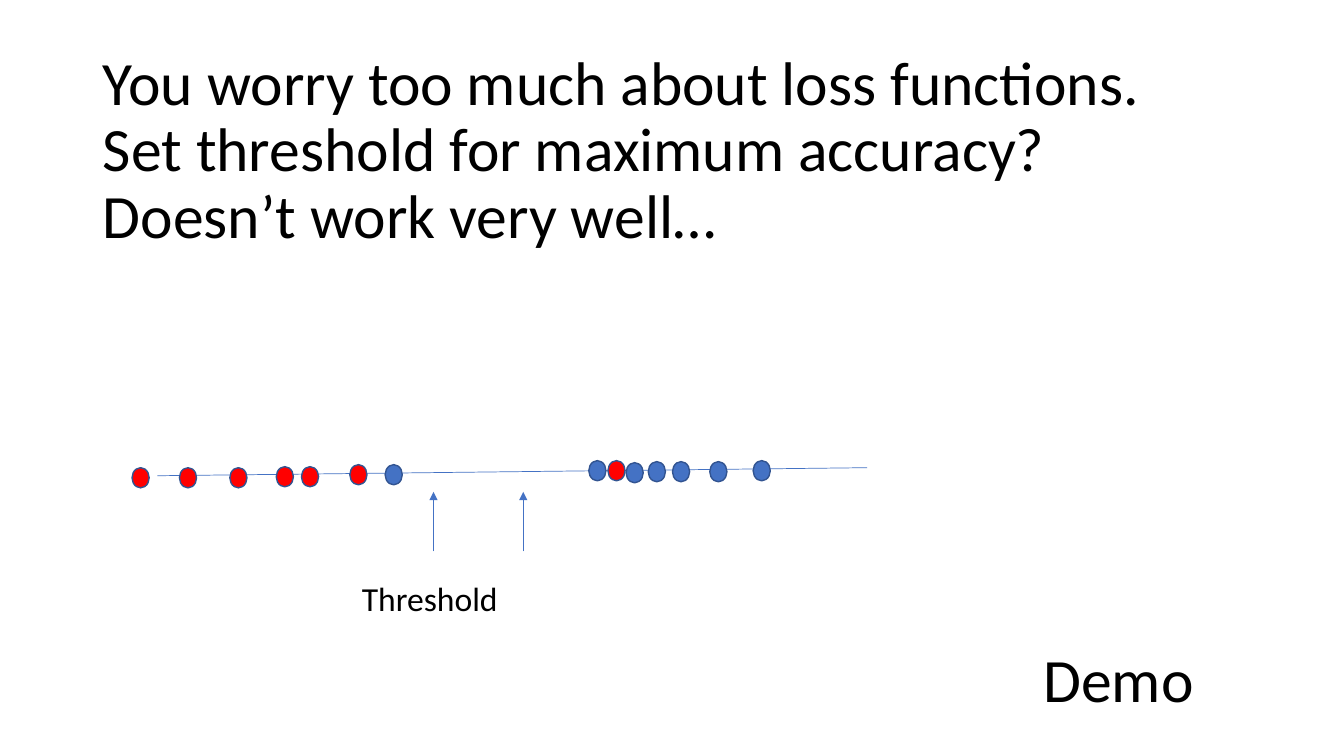
from lxml.etree import SubElement
from pptx import Presentation
from pptx.dml.color import RGBColor
from pptx.enum.shapes import MSO_CONNECTOR, MSO_SHAPE
from pptx.enum.text import MSO_ANCHOR, MSO_AUTO_SIZE, PP_ALIGN
from pptx.oxml.ns import qn
from pptx.util import Inches, Pt

COLORS = {
    "text": "000000",
    "red": "FF0000",
    "blue": "4472C4",
    "outline": "325491",
}
RGB = {role: RGBColor.from_string(value) for role, value in COLORS.items()}


def write_text(holder, wording, size):
    frame = holder.text_frame
    frame.text = wording
    frame.word_wrap = True
    frame.auto_size = MSO_AUTO_SIZE.NONE
    frame.vertical_anchor = MSO_ANCHOR.MIDDLE
    paragraph = frame.paragraphs[0]
    paragraph.alignment = PP_ALIGN.LEFT
    paragraph.line_spacing = 0.9
    paragraph.font.name = "Calibri"
    paragraph.font.size = Pt(size)
    paragraph.font.color.rgb = RGB["text"]


def add_thin_line(x1, y1, x2, y2):
    connector = slide.shapes.add_connector(
        MSO_CONNECTOR.STRAIGHT, Inches(x1), Inches(y1), Inches(x2), Inches(y2))
    connector.line.color.rgb = RGB["blue"]
    connector.line.width = Pt(0.5)
    SubElement(connector._element.spPr, qn("a:effectLst"))
    return connector


prs = Presentation()
prs.slide_width = Inches(13.33)
prs.slide_height = Inches(7.5)
slide = prs.slides.add_slide(prs.slide_layouts[5])

title = slide.shapes.title
title.left, title.top = Inches(0.92), Inches(0.4)
title.width, title.height = Inches(11.64), Inches(2.21)
write_text(
    title,
    "You worry too much about loss functions.\v"
    "Set threshold for maximum accuracy?\v"
    "Doesn’t work very well…",
    44,
)

# Score axis with the samples of both classes
add_thin_line(1.56, 4.72, 8.6, 4.64)
samples = [
    ("red", 1.31, 4.64), ("red", 1.78, 4.64), ("red", 2.28, 4.64),
    ("red", 2.74, 4.63), ("red", 2.99, 4.63), ("red", 3.47, 4.61),
    ("blue", 3.82, 4.61), ("blue", 5.84, 4.57), ("red", 6.03, 4.57),
    ("blue", 6.21, 4.59), ("blue", 6.43, 4.58), ("blue", 6.67, 4.58),
    ("blue", 7.04, 4.58), ("blue", 7.47, 4.57),
]
for label, left, top in samples:
    sample = slide.shapes.add_shape(
        MSO_SHAPE.OVAL, Inches(left), Inches(top), Inches(0.17), Inches(0.2))
    sample.shadow.inherit = False
    sample.fill.solid()
    sample.fill.fore_color.rgb = RGB[label]
    sample.line.color.rgb = RGB["outline"]
    sample.line.width = Pt(1)

# Two candidate thresholds
for x in (4.3, 5.19):
    threshold_arrow = add_thin_line(x, 5.47, x, 4.88)
    SubElement(threshold_arrow.line._get_or_add_ln(), qn("a:tailEnd"), type="triangle")

captions = [
    ("Threshold", 24, 3.49, 5.66, 0.59),
    ("Demo", 44, 10.25, 6.05, 1.45),
]
for wording, size, left, top, height in captions:
    caption = slide.shapes.add_textbox(
        Inches(left), Inches(top), Inches(1.7), Inches(height))
    write_text(caption, wording, size)

prs.save("out.pptx")
